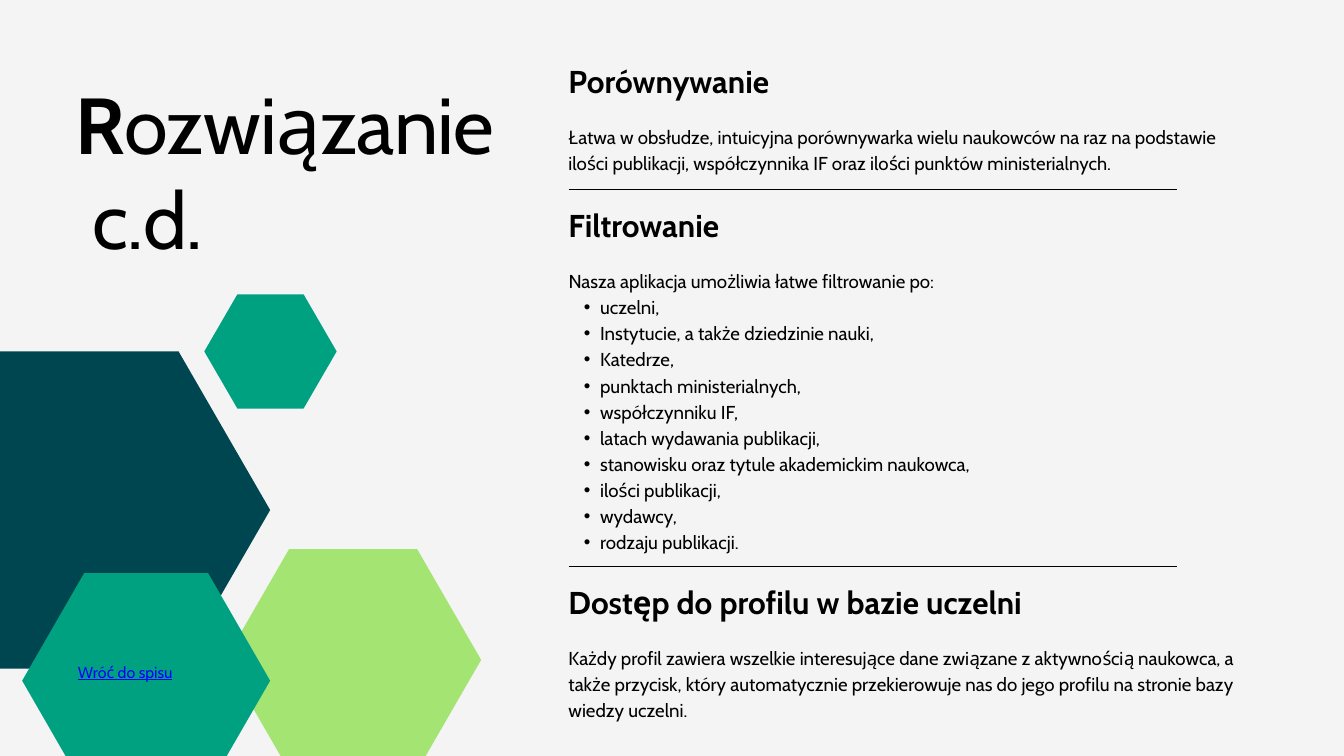
import pptx
import pptx.dml.color
import pptx.enum.shapes
import pptx.enum.text
import pptx.util
from lxml import etree
from pptx.oxml import ns

COLS, ROWS = 20, 11.25
CELL = pptx.util.Inches(1)
TEXT_COL, TEXT_WIDTH = 8.46, 10.1
HEXAGONS = [
    (-1.43, 5.23, 5.45, 4.72, "004651"),
    (3.35, 8.17, 3.81, 3.3, "A4E473"),
    (3.04, 4.38, 1.97, 1.7, "00A181"),
    (0.33, 8.53, 3.69, 3.2, "00A181"),
]
FILTERS = [
    "uczelni,",
    "Instytucie, a także dziedzinie nauki,",
    "Katedrze,",
    "punktach ministerialnych,",
    "współczynniku IF,",
    "latach wydawania publikacji,",
    "stanowisku oraz tytule akademickim naukowca,",
    "ilości publikacji,",
    "wydawcy,",
    "rodzaju publikacji.",
]
COMPARISON = (
    "Łatwa w obsłudze, intuicyjna porównywarka wielu naukowców na raz na podstawie "
    "ilości publikacji, współczynnika IF oraz ilości punktów ministerialnych."
)
PROFILE = (
    "Każdy profil zawiera wszelkie interesujące dane związane z aktywnością naukowca, "
    "a także przycisk, który automatycznie przekierowuje nas do jego profilu na stronie "
    "bazy wiedzy uczelni."
)


def grid(n):
    """Turn a count of grid cells into a length."""
    return int(n * CELL)


def color(value):
    """Turn a hex string into a colour."""
    return pptx.dml.color.RGBColor.from_string(value)


def place(sp, x, y, w, h):
    """Put a text shape on the grid and return its frame without margins."""
    sp.left, sp.top, sp.width, sp.height = map(grid, (x, y, w, h))
    tf = sp.text_frame
    tf.word_wrap = True
    tf.auto_size = pptx.enum.text.MSO_AUTO_SIZE.NONE
    tf.vertical_anchor = pptx.enum.text.MSO_ANCHOR.TOP
    tf.margin_left = tf.margin_right = tf.margin_top = tf.margin_bottom = 0
    return tf


def set_bullet(p, bullet):
    """Give a paragraph a hanging bullet, or none."""
    pPr = p._p.get_or_add_pPr()
    pPr.set("marL", str(grid(0.47) if bullet else 0))
    pPr.set("indent", str(grid(-0.24) if bullet else 0))
    if bullet:
        etree.SubElement(pPr, ns.qn("a:buFont")).set("typeface", "Arial")
        etree.SubElement(pPr, ns.qn("a:buChar")).set("char", "•")
    else:
        etree.SubElement(pPr, ns.qn("a:buNone"))


def add_run(p, text, size=20, bold=False, underline=None, fill="000000", spacing=None):
    """Append a formatted run to a paragraph."""
    r = p.add_run()
    r.text = text
    r.font.name = "Cabin"
    r.font.size = pptx.util.Pt(size)
    r.font.bold = bold
    r.font.underline = underline
    r.font.color.rgb = color(fill)
    if spacing is not None:
        r._r.get_or_add_rPr().set("spc", str(int(spacing * 100)))


def write(tf, text, leading=28, bullet=False, **style):
    """Write one paragraph, using the frame's first one while it is empty."""
    p = tf.paragraphs[0] if not tf.text else tf.add_paragraph()
    set_bullet(p, bullet)
    p.level = int(bullet)
    p.alignment = pptx.enum.text.PP_ALIGN.LEFT
    p.line_spacing = pptx.util.Pt(leading)
    p.space_before = p.space_after = pptx.util.Pt(0)
    add_run(p, text, **style)
    return p


def add_text(s, box, text, **style):
    """Add a text box holding one paragraph."""
    write(place(s.shapes.add_textbox(0, 0, 0, 0), *box), text, **style)


def add_heading(s, y, text):
    """Add a section heading in the right column."""
    add_text(s, (TEXT_COL, y, TEXT_WIDTH, 0.57), text, leading=40.5, size=33.8, bold=True)


def add_hexagon(s, x, y, w, h, fill):
    """Draw a flat-topped hexagon whose corners are cut by a quarter width."""
    points = [(0, 0.5), (0.25, 0), (0.75, 0), (1, 0.5), (0.75, 1), (0.25, 1)]
    corners = [(grid(x + w * a), grid(y + h * b)) for a, b in points]
    builder = s.shapes.build_freeform(*corners[0])
    builder.add_line_segments(corners[1:], close=True)
    sp = builder.convert_to_shape()
    sp.shadow.inherit = False
    sp.fill.solid()
    sp.fill.fore_color.rgb = color(fill)
    sp.line.fill.background()


def add_divider(s, y):
    """Draw a thin rule between two sections."""
    line = s.shapes.add_connector(
        pptx.enum.shapes.MSO_CONNECTOR.STRAIGHT,
        grid(TEXT_COL), grid(y), grid(TEXT_COL + 9.05), grid(y),
    )
    line.line.color.rgb = color("000000")
    line.line.width = pptx.util.Pt(0.75)
    etree.SubElement(line._element.spPr, ns.qn("a:effectLst"))


def main():
    """Build the slide and save it."""
    prs = pptx.Presentation()
    prs.slide_width, prs.slide_height = grid(COLS), grid(ROWS)
    s = prs.slides.add_slide(prs.slide_layouts[1])
    s.background.fill.solid()
    s.background.fill.fore_color.rgb = color("F4F4F4")

    title_style = {"size": 85, "spacing": -0.8}
    tf = place(s.shapes.title, 1.12, 1.12, 16.94, 2.81)
    p = write(tf, "R", leading=102, bold=True, **title_style)
    add_run(p, "ozwiązanie", **title_style)
    write(tf, " c.d.", leading=102, **title_style)

    for hexagon in HEXAGONS:
        add_hexagon(s, *hexagon)

    add_heading(s, 0.92, "Porównywanie")
    add_text(s, (TEXT_COL, 1.81, TEXT_WIDTH, 0.75), COMPARISON)

    add_heading(s, 3.07, "Filtrowanie")
    tf = place(s.placeholders[1], TEXT_COL, 3.96, TEXT_WIDTH, 4.22)
    write(tf, "Nasza aplikacja umożliwia łatwe filtrowanie po:")
    for item in FILTERS:
        write(tf, item, bullet=True)

    add_heading(s, 8.68, "Dostęp do profilu w bazie uczelni")
    add_text(s, (TEXT_COL, 9.57, TEXT_WIDTH, 1.14), PROFILE)

    add_text(s, (1.16, 9.81, 5.72, 0.32), "Wróć do spisu",
             leading=23.8, size=17, underline=True, fill="0000FF")
    for y in (2.82, 8.43):
        add_divider(s, y)
    prs.save("out.pptx")


if __name__ == "__main__":
    main()
